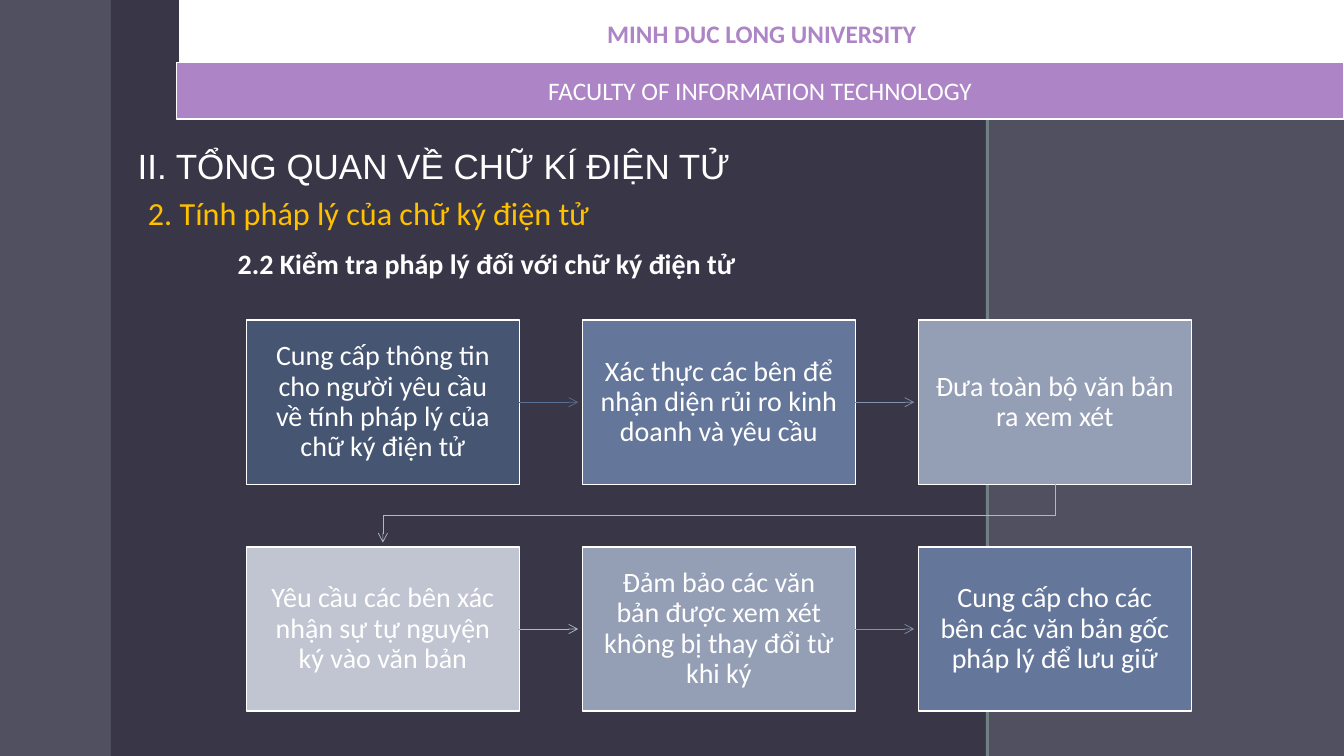
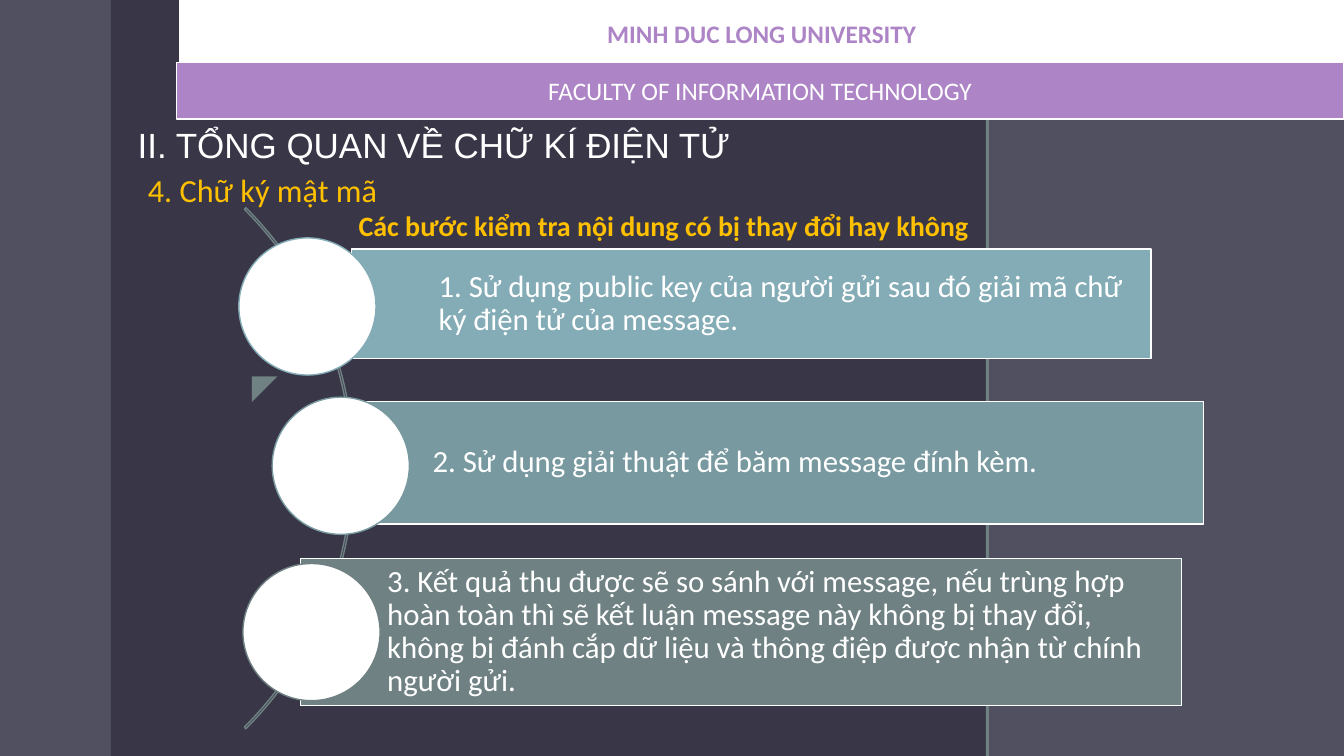
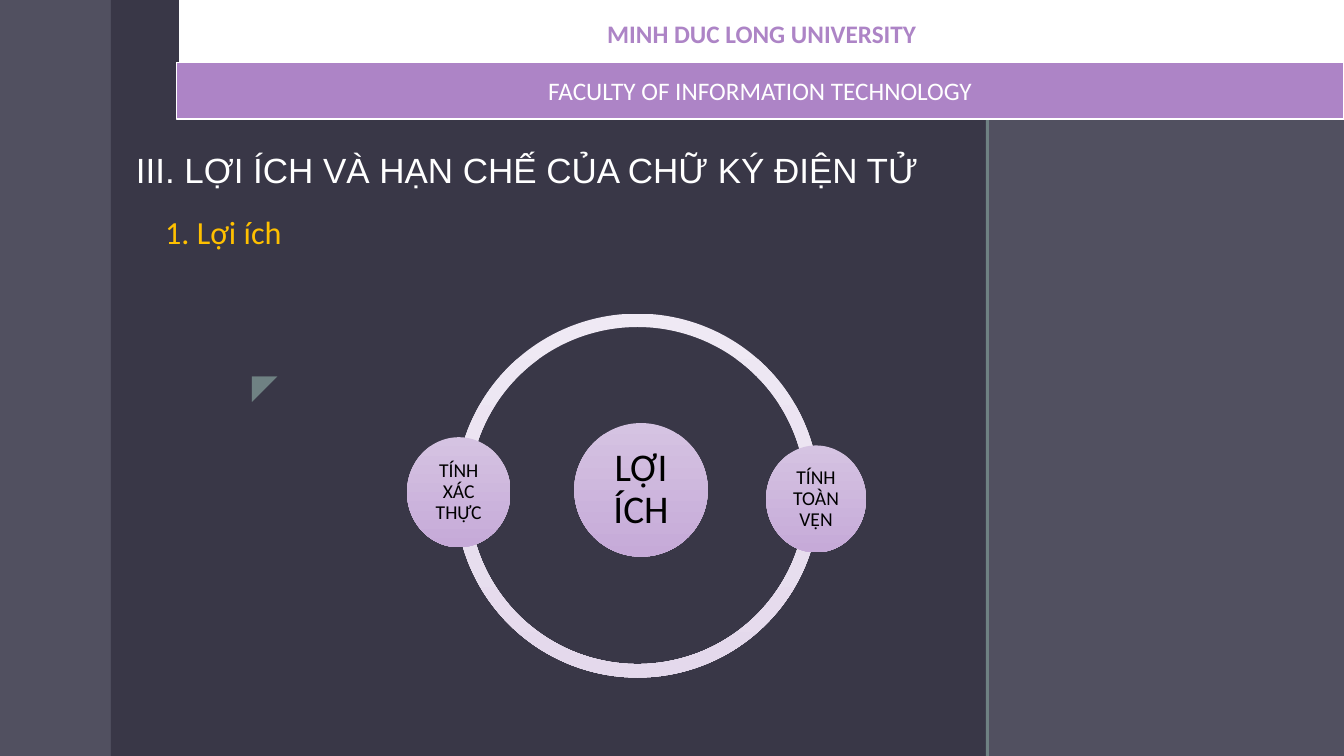
from lxml import etree
from pptx import Presentation
from pptx.dml.color import RGBColor
from pptx.enum import shapes, text
from pptx.oxml.ns import qn
from pptx.util import Pt

KIND, ALIGN, ANCHOR = shapes.MSO_SHAPE, text.PP_ALIGN, text.MSO_ANCHOR
color = RGBColor.from_string
WHITE, PURPLE, TEAL, GOLD, BLACK = "FFFFFF", "AD84C6", "6F8183", "FFC000", "000000"


def draw(slide, kind, box, fill=None, line=None):
    """Add a preset shape; a pair of fill colours makes a top-to-bottom gradient."""
    shape = slide.shapes.add_shape(kind, *map(Pt, box))
    shape.shadow.inherit = False
    if isinstance(fill, tuple):
        shape.fill.gradient()
        shape.fill.gradient_angle = 270
        for stop, shade in zip(shape.fill.gradient_stops, fill):
            stop.color.rgb = color(shade)
    elif fill:
        shape.fill.solid()
        shape.fill.fore_color.rgb = color(fill)
    else:
        shape.fill.background()
    if line:
        shape.line.color.rgb = color(line)
        shape.line.width = Pt(1)
    else:
        shape.line.fill.background()
    return shape


def write(shape, words, style, shade=None, **changes):
    """Fill a shape with one paragraph, formatted by style plus changes."""
    style = {**style, **changes}
    frame = shape.text_frame
    frame.word_wrap = True
    frame.vertical_anchor = style.get("anchor", ANCHOR.TOP)
    for side, inset in zip(("left", "top", "right", "bottom"),
                           style.get("insets", (7.2, 3.6, 7.2, 3.6))):
        setattr(frame, f"margin_{side}", Pt(inset))
    paragraph = frame.paragraphs[0]
    paragraph.text = words
    paragraph.font.color.rgb = color(shade or style["shade"])
    values = {"name": style.get("name", "Calibri"), "size": Pt(style["size"]),
              "bold": style.get("bold", False)}
    for key, value in values.items():
        setattr(paragraph.font, key, value)
    values = {"alignment": style.get("align", ALIGN.LEFT),
              "line_spacing": style.get("spacing", 1.0),
              "space_before": Pt(style.get("before", 0))}
    for key, value in values.items():
        setattr(paragraph, key, value)


BAND = {"size": 18, "align": ALIGN.CENTER, "anchor": ANCHOR.MIDDLE}
TITLE = {"size": 25, "name": "Arial", "shade": WHITE, "anchor": ANCHOR.BOTTOM,
         "insets": (7.2, 0, 7.2, 3.6), "spacing": 0.9, "before": 10}
SUBTITLE = {"size": 23, "shade": GOLD, "spacing": 0.9}
HEADING = {"size": 20, "bold": True}
DIAGRAM = {"size": 20, "shade": WHITE, "anchor": ANCHOR.MIDDLE, "spacing": 0.9,
           "align": ALIGN.CENTER, "insets": (11.4,) * 4}

presentation = Presentation()
presentation.slide_width, presentation.slide_height = Pt(960), Pt(540)
layout = presentation.slide_layouts[6]
for placeholder in list(layout.placeholders):
    layout.shapes.element.remove(placeholder.element)
layout.background.fill.solid()
layout.background.fill.fore_color.rgb = color("515060")
process, steps, benefits = [presentation.slides.add_slide(layout) for _ in range(3)]

# Shared frame: drawn once, then moved to the layout
panel = draw(process, KIND.RECTANGLE, (79.2, 0, 625, 540), "373545")
panel_color = panel.element.spPr.find(qn("a:solidFill"))[0]
etree.SubElement(panel_color, qn("a:alpha"), val="92000")
draw(process, KIND.RECTANGLE, (704.2, 0, 2.2, 540), TEAL)
corner = process.shapes.add_textbox(*map(Pt, (172.8, 257, 32.4, 36)))
write(corner, "◤", {"size": 24, "name": "Arial", "align": ALIGN.RIGHT}, TEAL)
university = draw(process, KIND.RECTANGLE, (128.2, 0, 831.8, 48), WHITE, WHITE)
write(university, "MINH DUC LONG UNIVERSITY", BAND, PURPLE, bold=True)
faculty = draw(process, KIND.RECTANGLE, (126, 44.6, 834, 40.6), PURPLE, WHITE)
write(faculty, "FACULTY OF INFORMATION TECHNOLOGY", BAND, WHITE)
for shape in list(process.shapes):
    layout.shapes.element.append(shape.element)

# Titles and headings
OVERVIEW = "II. TỔNG QUAN VỀ CHỮ KÍ ĐIỆN TỬ"
RIGHT_TITLE = {**TITLE, "align": ALIGN.RIGHT}
for slide, box, words, style in (
    (process, (85.7, 90, 442.8, 47.5), OVERVIEW, RIGHT_TITLE),
    (process, (98.6, 137.5, 335.5, 49), "2. Tính pháp lý của chữ ký điện tử", SUBTITLE),
    (process, (162.7, 170.6, 472, 33), "2.2 Kiểm tra pháp lý đối với chữ ký điện tử",
     {**HEADING, "shade": WHITE, "spacing": 1.07, "before": 3.6}),
    (steps, (85.7, 90, 442.8, 32.4), OVERVIEW, RIGHT_TITLE),
    (steps, (98.6, 121, 335.5, 49), "4. Chữ ký mật mã", SUBTITLE),
    (steps, (249, 145.4, 531, 31.7), "Các bước kiểm tra nội dung có bị thay đổi hay không",
     {**HEADING, "shade": GOLD}),
    (benefits, (90, 107.3, 677.5, 32.4), "III. LỢI ÍCH VÀ HẠN CHẾ CỦA CHỮ KÝ ĐIỆN TỬ", TITLE),
    (benefits, (110.9, 151.2, 605.5, 38.9), "1. Lợi ích", SUBTITLE),
):
    write(slide.shapes.add_textbox(*map(Pt, box)), words, style)

# Slide 1: six boxes in two rows, joined by arrows
LEFT, TOP, WIDTH, HEIGHT, COLUMN_STEP, ROW_STEP = 176, 228.6, 195, 117.4, 240, 162
COLUMNS = 3
checks = (
    ("Cung cấp thông tin cho người yêu cầu về tính pháp lý của chữ ký điện tử",
     "455572", "596E93"),
    ("Xác thực các bên để nhận diện rủi ro kinh doanh và yêu cầu", "64779B", "8392AE"),
    ("Đưa toàn bộ văn bản ra xem xét", "949EB5", "B0B7C7"),
    ("Yêu cầu các bên xác nhận sự tự nguyện ký vào văn bản", "C0C5D1", "B0B7C7"),
    ("Đảm bảo các văn bản được xem xét không bị thay đổi từ khi ký", "949EB5", "8392AE"),
    ("Cung cấp cho các bên các văn bản gốc pháp lý để lưu giữ", "64779B", None),
)
arrows = []
for index, (words, fill, arrow_color) in enumerate(checks):
    row, column = divmod(index, COLUMNS)
    x, y = LEFT + column * COLUMN_STEP, TOP + row * ROW_STEP
    check = draw(process, KIND.RECTANGLE, (x, y, WIDTH, HEIGHT), fill, WHITE)
    write(check, words, DIAGRAM)
    if column < COLUMNS - 1:
        middle = y + HEIGHT / 2
        arrow = process.shapes.add_connector(
            shapes.MSO_CONNECTOR.STRAIGHT,
            *map(Pt, (x + WIDTH, middle, x + COLUMN_STEP - 3, middle)))
        arrow.begin_connect(check, 3)
        arrows.append((arrow, arrow_color))
    elif arrow_color:
        start, end = x + WIDTH / 2, LEFT + WIDTH / 2
        bottom, next_top = y + HEIGHT, y + ROW_STEP
        bend = (bottom + next_top) / 2
        builder = process.shapes.build_freeform(Pt(start), Pt(bottom))
        builder.add_line_segments(
            [(Pt(start), Pt(bend)), (Pt(end), Pt(bend)), (Pt(end), Pt(next_top - 3))],
            close=False)
        arrow = builder.convert_to_shape()
        arrow.fill.background()
        arrows.append((arrow, arrow_color))
for arrow, arrow_color in arrows:
    arrow.line.color.rgb = color(arrow_color)
    arrow.line.width = Pt(0.5)
    properties = arrow.element.spPr
    etree.SubElement(properties.find(qn("a:ln")), qn("a:tailEnd"), type="arrow")
    etree.SubElement(properties, qn("a:effectLst"))

# Slide 2: three steps along an arc
arc = draw(steps, KIND.BLOCK_ARC, (-273.6, 71.3, 526.3, 526.3), line=TEAL)
for index, value in enumerate((189, 27, 0.003)):
    arc.adjustments[index] = value
for words, bar_box, circle_corner, fill in (
    ("1. Sử dụng public key của người gửi sau đó giải mã chữ ký điện tử của message.",
     (251.3, 177.8, 571, 78.5), (170.6, 169.9), "84ACB6"),
    ("2. Sử dụng giải thuật để băm message đính kèm.",
     (247, 286.6, 612.7, 87.8), (194.4, 283.7), "77999F"),
    ("3. Kết quả thu được sẽ so sánh với message, nếu trùng hợp hoàn toàn thì sẽ kết luận "
     "message này không bị thay đổi, không bị đánh cắp dữ liệu và thông điệp được nhận từ "
     "chính người gửi.",
     (214.6, 398.9, 629.3, 105.1), (173.5, 402.5), TEAL),
):
    bar = draw(steps, KIND.RECTANGLE, bar_box, fill, WHITE)
    write(bar, words, DIAGRAM, size=22, align=ALIGN.LEFT, insets=(62, 4, 4, 4))
    draw(steps, KIND.OVAL, (*circle_corner, 98, 98), WHITE, fill)

# Slide 3: a ring of two halves around the central idea
HALF_TURNS = (0.629, 108.629)
for start, end in (HALF_TURNS, HALF_TURNS[::-1]):
    half = draw(benefits, KIND.BLOCK_ARC, (325.4, 224, 260, 260), ("EFE9F4", "E4D9EC"))
    for index, value in enumerate((start, end, 0.037)):
        half.adjustments[index] = value
for words, box, size, inset in (
    ("LỢI ÍCH", (410.2, 302.2, 95.4, 95.4), 28, 2.9),
    ("TÍNH XÁC THỰC", (290.7, 312.3, 74, 78.6), 14, 1.4),
    ("TÍNH TOÀN VẸN", (547.2, 318.2, 71.4, 76.4), 14, 1.4),
):
    circle = draw(benefits, KIND.OVAL, box, ("D5C3E2", "C6AAD8"))
    write(circle, words, DIAGRAM, BLACK, size=size, insets=(inset,) * 4)

presentation.save("out.pptx")
